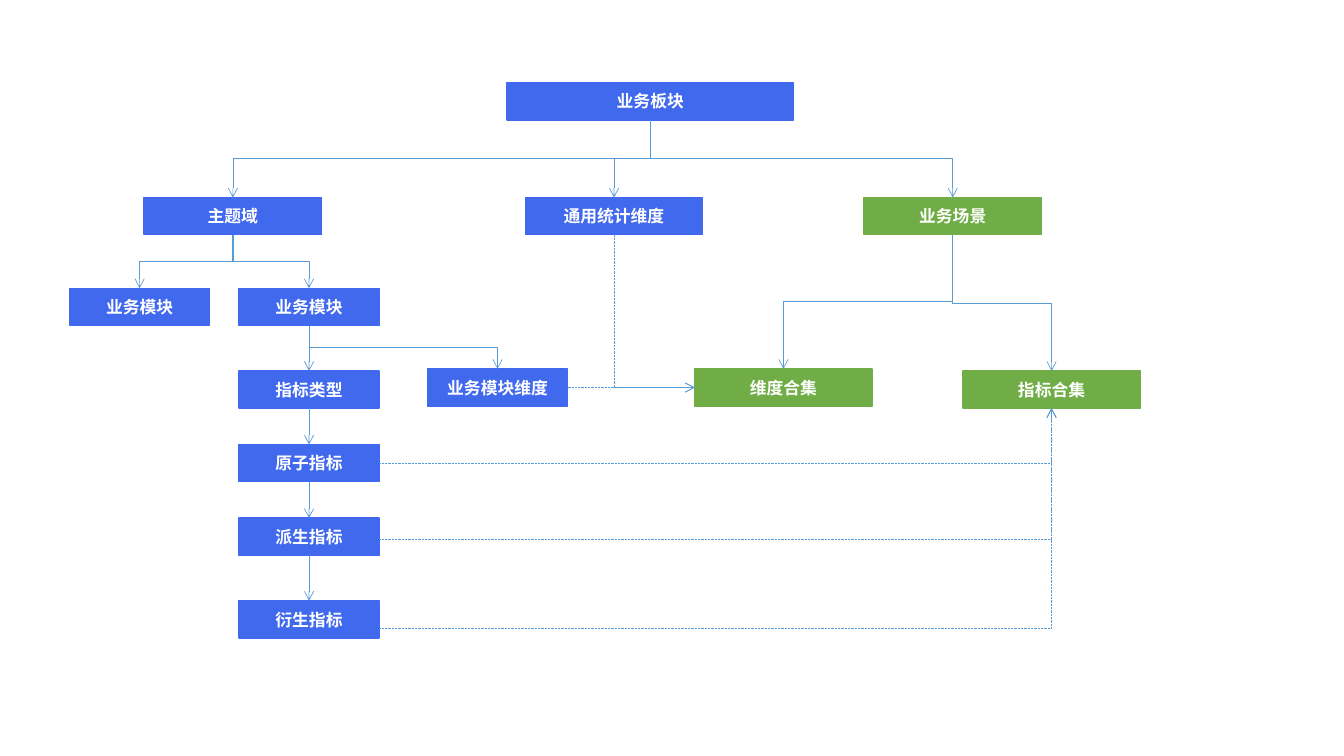
from lxml.etree import SubElement
from pptx import Presentation
from pptx.dml.color import RGBColor
from pptx.enum.dml import MSO_LINE
from pptx.enum.shapes import MSO_CONNECTOR as LINK, MSO_SHAPE
from pptx.enum.text import MSO_ANCHOR, PP_ALIGN
from pptx.oxml.ns import qn
from pptx.util import Inches, Pt

FONT = "Noto Sans CJK SC"
BLUE, GREEN, LINK_BLUE, WHITE = "4169EE", "70AD47", "5B9BD5", "FFFFFF"
BOX_HEIGHT = 0.37
WIDE, NARROW = 1.76, 1.39


def paint(color_format, value):
    color_format.rgb = RGBColor.from_string(value)


def connect(start, end, route="straight", dotted=False):
    (x1, y1), (x2, y2) = start, end
    turned = route in ("tree", "down_then_across")
    if turned:
        mid_x, mid_y = (x1 + x2) / 2, (y1 + y2) / 2
        half_run, half_rise = (x2 - x1) / 2, (y2 - y1) / 2
        x1, x2 = mid_x - half_rise, mid_x + half_rise
        y1, y2 = mid_y + half_run, mid_y - half_run
    kind = LINK.STRAIGHT if route == "straight" else LINK.ELBOW
    link = slide.shapes.add_connector(kind, Inches(x1), Inches(y1), Inches(x2), Inches(y2))
    properties = link._element.spPr
    if turned:
        properties.find(qn("a:xfrm")).set("rot", str(90 * 60000))
    if route in ("down_then_across", "across_then_up"):
        properties.find(qn("a:prstGeom")).set("prst", "bentConnector2")
    paint(link.line.color, LINK_BLUE)
    link.line.width = Pt(0.5)
    if dotted:
        link.line.dash_style = MSO_LINE.ROUND_DOT
    SubElement(properties.find(qn("a:ln")), qn("a:tailEnd"), type="arrow")
    SubElement(properties, qn("a:effectLst"))


prs = Presentation()
prs.slide_width, prs.slide_height = Inches(13.33), Inches(7.5)
slide = prs.slides.add_slide(prs.slide_layouts[6])

boxes = {
    "board": ("业务板块", 5.03, 0.82, 2.84, BLUE),
    "domain": ("主题域", 1.43, 1.96, WIDE, BLUE),
    "common_dimension": ("通用统计维度", 5.21, 1.96, WIDE, BLUE),
    "scenario": ("业务场景", 8.57, 1.96, WIDE, GREEN),
    "left_module": ("业务模块", 0.69, 2.86, NARROW, BLUE),
    "right_module": ("业务模块", 2.37, 2.86, NARROW, BLUE),
    "metric_type": ("指标类型", 2.37, 3.68, NARROW, BLUE),
    "module_dimension": ("业务模块维度", 4.24, 3.66, NARROW, BLUE),
    "atomic": ("原子指标", 2.37, 4.41, NARROW, BLUE),
    "derived": ("派生指标", 2.37, 5.14, NARROW, BLUE),
    "compound": ("衍生指标", 2.37, 5.96, NARROW, BLUE),
    "dimension_set": ("维度合集", 6.89, 3.66, WIDE, GREEN),
    "metric_set": ("指标合集", 9.55, 3.68, WIDE, GREEN),
}

top, bottom, left, right = {}, {}, {}, {}
for key, (label, x, y, width, color) in boxes.items():
    box = slide.shapes.add_shape(
        MSO_SHAPE.RECTANGLE, Inches(x), Inches(y), Inches(width), Inches(BOX_HEIGHT))
    box.shadow.inherit = False
    box.fill.solid()
    paint(box.fill.fore_color, color)
    paint(box.line.color, color)
    box.line.width = Pt(1)
    box.text_frame.text = label
    box.text_frame.vertical_anchor = MSO_ANCHOR.MIDDLE
    paragraph = box.text_frame.paragraphs[0]
    paragraph.alignment = PP_ALIGN.CENTER
    run = paragraph.runs[0]
    run.font.size, run.font.bold, run.font.name = Pt(12), True, FONT
    paint(run.font.color, WHITE)
    SubElement(run._r.get_or_add_rPr(), qn("a:ea"), typeface=FONT)
    center, middle = x + width / 2, y + BOX_HEIGHT / 2
    top[key], bottom[key] = (center, y), (center, y + BOX_HEIGHT)
    left[key], right[key] = (x, middle), (x + width, middle)

branches = [
    ("board", "domain"), ("board", "common_dimension"), ("board", "scenario"),
    ("domain", "left_module"), ("domain", "right_module"),
    ("right_module", "module_dimension"),
    ("scenario", "dimension_set"), ("scenario", "metric_set"),
]
for parent, child in branches:
    connect(bottom[parent], top[child], "tree")

metric_chain = ["right_module", "metric_type", "atomic", "derived", "compound"]
for upper, lower in zip(metric_chain, metric_chain[1:]):
    connect(bottom[upper], top[lower])

connect(bottom["common_dimension"], left["dimension_set"], "down_then_across", dotted=True)
connect(right["module_dimension"], left["dimension_set"], dotted=True)
for metric, exit_y in (("atomic", 4.6), ("derived", 5.35), ("compound", 6.23)):
    connect((right[metric][0], exit_y), bottom["metric_set"], "across_then_up", dotted=True)

prs.save("out.pptx")
